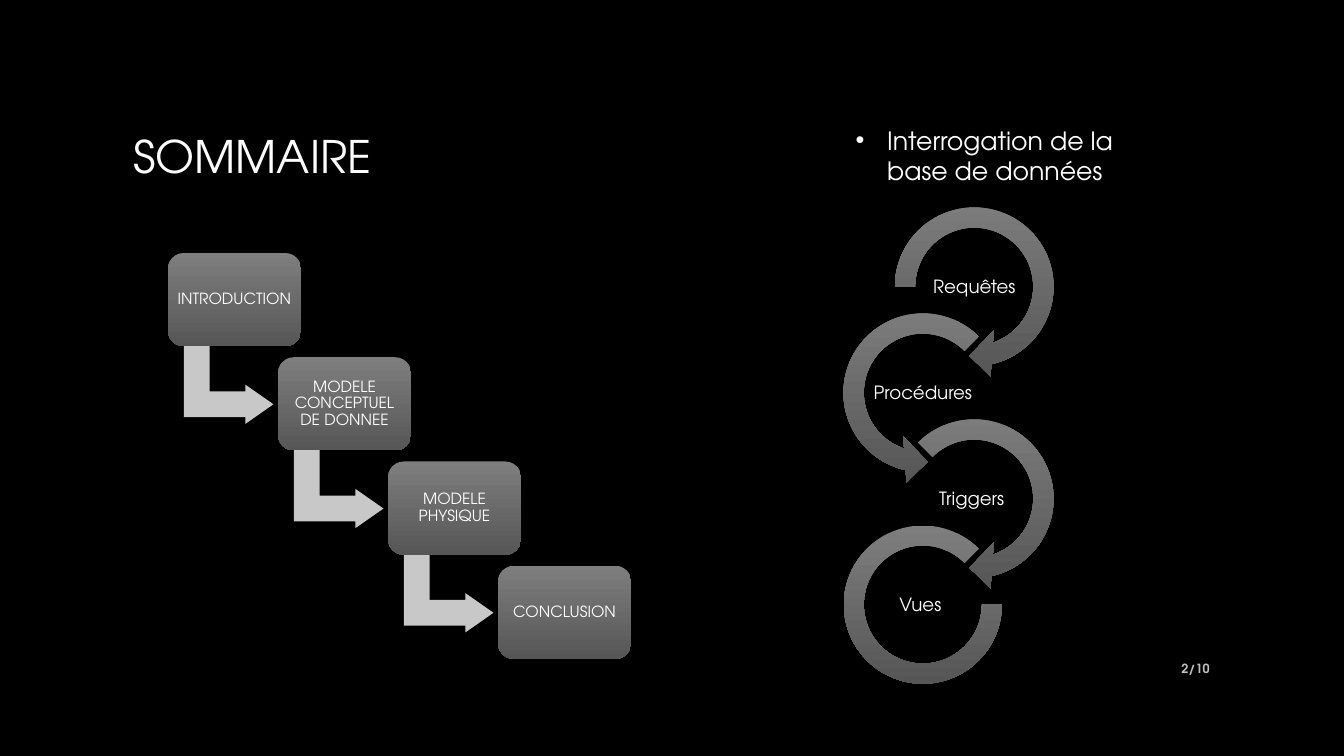
from pptx import Presentation
from pptx.dml.color import RGBColor
from pptx.enum.shapes import MSO_SHAPE
from pptx.enum.text import MSO_ANCHOR, MSO_AUTO_SIZE, PP_ALIGN
from pptx.oxml.ns import qn
from pptx.util import Pt
from lxml.etree import SubElement

FONT = "TeX Gyre Adventor"
WHITE = "FFFFFF"
STEPS = ["INTRODUCTION", "MODELE CONCEPTUEL DE DONNEE", "MODELE PHYSIQUE", "CONCLUSION"]
RINGS = [
    ("Requêtes", MSO_SHAPE.CIRCULAR_ARROW, 131.8, (0.11, 11.42, 45, 108, 0.125)),
    ("Procédures", MSO_SHAPE.LEFT_CIRCULAR_ARROW, 131.8, (0.11, 11.42, 63, 189, 0.125)),
    ("Triggers ", MSO_SHAPE.CIRCULAR_ARROW, 131.8, (0.11, 11.42, 45, 135, 0.125)),
    ("Vues ", MSO_SHAPE.BLOCK_ARC, 113, (0, 189, 0.127)),
]


def colour(value):
    """Turn a hex string into a colour."""
    return RGBColor.from_string(value)


def apply(target, values):
    """Set every attribute named in a dict of format values."""
    for name, value in values.items():
        setattr(target, name, value)


def place(shape, left, top, width, height):
    """Move and size a shape, in points."""
    apply(shape, {"left": Pt(left), "top": Pt(top), "width": Pt(width), "height": Pt(height)})


def write(shape, text, size, align, anchor=MSO_ANCHOR.MIDDLE, margins=(7.2, 3.6),
          spacing=1.0, bold=False, tint=WHITE):
    """Put one formatted paragraph into a shape and return it."""
    frame = shape.text_frame
    across, down = (Pt(margin) for margin in margins)
    apply(frame, {"word_wrap": True, "auto_size": MSO_AUTO_SIZE.NONE, "vertical_anchor": anchor,
                  "margin_left": across, "margin_right": across,
                  "margin_top": down, "margin_bottom": down})
    para = frame.paragraphs[0]
    apply(para, {"alignment": align, "line_spacing": spacing, "space_before": Pt(0)})
    span = para.add_run()
    span.text = text
    apply(span.font, {"name": FONT, "size": Pt(size), "bold": bold})
    span.font.color.rgb = colour(tint)
    return para


def add_label(page, box, text, size, align, **options):
    """Add a text box with one paragraph."""
    label = page.shapes.add_textbox(*map(Pt, box))
    write(label, text, size, align, **options)


def add_solid(page, kind, box, adjustments, tints):
    """Add a borderless shape with a plain or top-to-bottom gradient fill."""
    shape = page.shapes.add_shape(kind, *map(Pt, box))
    shape.shadow.inherit = False
    shape.line.fill.background()
    for index, value in enumerate(adjustments):
        shape.adjustments[index] = value
    if len(tints) == 1:
        shape.fill.solid()
        shape.fill.fore_color.rgb = colour(tints[0])
    else:
        shape.fill.gradient()
        shape.fill.gradient_angle = 270
        for stop, tint in zip(shape.fill.gradient_stops, tints):
            stop.color.rgb = colour(tint)
    return shape


def add_title(page, box):
    """Fill the title placeholder."""
    title = page.shapes.title
    place(title, *box)
    write(title, "SOMMAIRE", 32, PP_ALIGN.LEFT)


def add_topic(page, box):
    """Fill the body placeholder with the bulleted topic."""
    body = page.placeholders[1]
    place(body, *box)
    para = write(body, "Interrogation de la base de données", 18, PP_ALIGN.LEFT,
                 anchor=MSO_ANCHOR.TOP)
    properties = para._p.get_or_add_pPr()
    properties.set("marL", str(Pt(22.5)))
    properties.set("indent", str(Pt(-22.5)))
    SubElement(properties, qn("a:buFont"), typeface="Arial")
    SubElement(properties, qn("a:buChar"), char="•")


def add_staircase(page, box):
    """Draw the chapters as descending steps joined by bent arrows."""
    left, top, width, height = box
    step_width, step_height = 95, 66.6
    across = (width - step_width) / (len(STEPS) - 1)
    down = (height - step_height) / (len(STEPS) - 1)
    for index, text in enumerate(STEPS):
        x, y = left + index * across, top + index * down
        if index < len(STEPS) - 1:
            arrow = add_solid(page, MSO_SHAPE.BENT_UP_ARROW, (x + 15.2, y + 62, 56.2, 64),
                              (0.328, 0.25, 0.358), ["C8C8C8"])
            arrow.rotation = 90
        step = add_solid(page, MSO_SHAPE.ROUNDED_RECTANGLE, (x, y, step_width, step_height),
                         (0.167,), ["7E7E7E", "565656"])
        write(step, text, 11, PP_ALIGN.CENTER, margins=(3.6, 3.6), spacing=0.9)


def add_chain(page, box):
    """Draw the topic's parts as rings alternating right and left."""
    left, top, width, height = box
    radius = RINGS[0][2] / 2
    centres = (left + width - radius, left + radius)
    pitch = (height - 2 * radius) / (len(RINGS) - 1)
    for index, (text, kind, size, adjustments) in enumerate(RINGS):
        x, y = centres[index % 2], top + radius + index * pitch
        add_solid(page, kind, (x - size / 2, y - size / 2, size, size), adjustments,
                  ["7E7E7E", "565656"])
        add_label(page, (x - 36.7, y - 17.6, 73.4, 36.7), text, 13, PP_ALIGN.CENTER,
                  margins=(0.7, 0.7), spacing=0.9)


def build_summary(deck):
    """Build the summary slide."""
    page = deck.slides.add_slide(deck.slide_layouts[1])
    page.background.fill.solid()
    page.background.fill.fore_color.rgb = colour("000000")
    add_title(page, (88, 36, 780, 150))
    add_staircase(page, (120, 180.7, 330.8, 290))
    add_chain(page, (593.3, 138.9, 168.5, 358.9))
    add_topic(page, (604, 85.7, 216.7, 51))
    add_label(page, (828, 463, 43.2, 28.8), "2/10", 9, PP_ALIGN.RIGHT, bold=True, tint="BFBFBF")


def main():
    """Create and save the deck."""
    deck = Presentation()
    apply(deck, {"slide_width": Pt(960), "slide_height": Pt(540)})
    build_summary(deck)
    deck.save("out.pptx")


if __name__ == "__main__":
    main()
